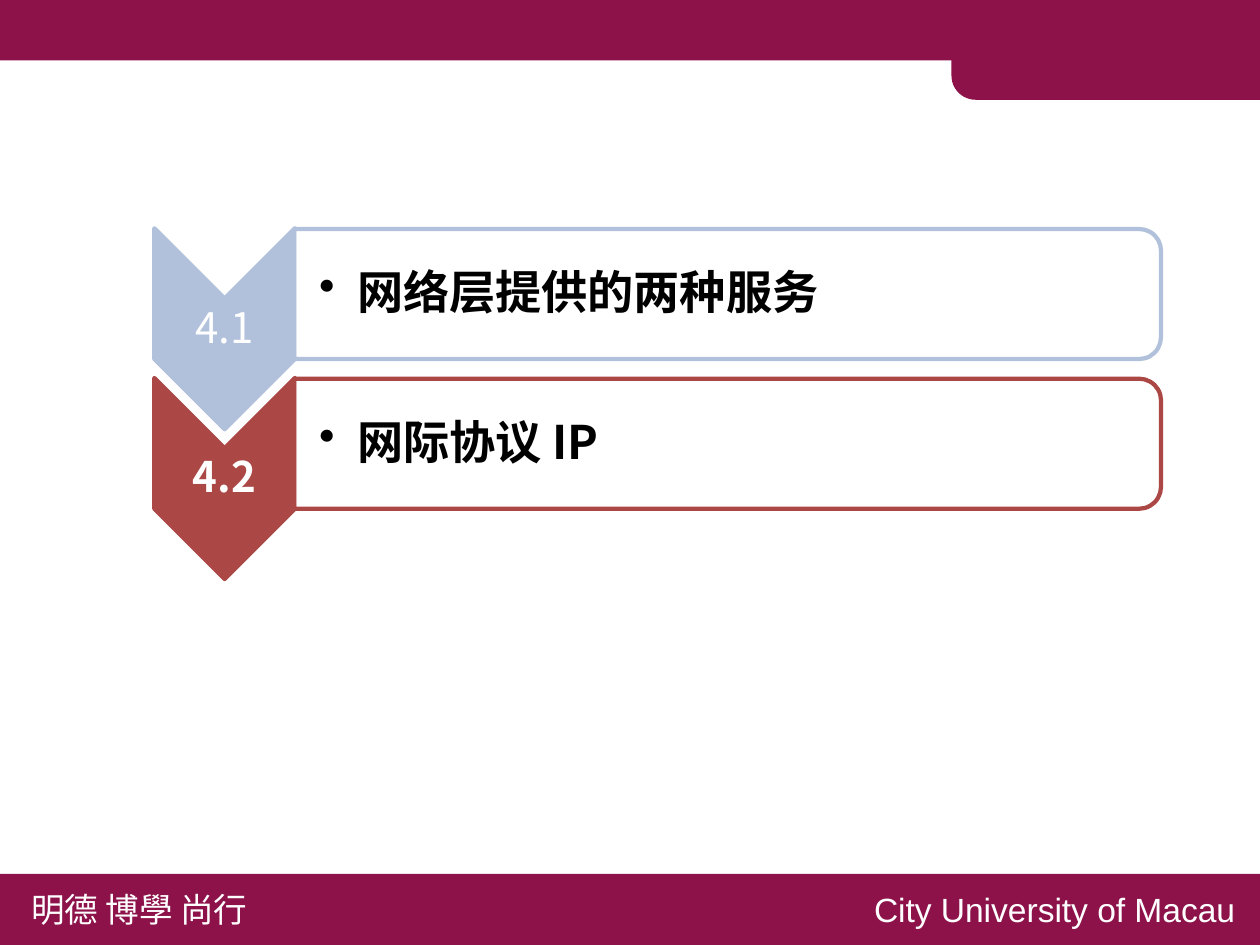
from pptx import Presentation, util as u
from pptx.dml.color import RGBColor
from pptx.enum import shapes, text
from pptx.oxml.ns import qn
from lxml import etree

ROWS = [("4.1", "网络层提供的两种服务", "pale", False),
        ("4.2", "网际协议 IP", "red", True)]
MOTTO = "明德 博學 尚行"
SCHOOL = "City University of Macau"
HUES = {"wine": "8D124A", "pale": "B2C1DB", "red": "AB4846",
        "white": "FFFFFF", "black": "000000"}
CJK = "Noto Sans CJK SC"
WIDE, HIGH = 8.33, 6.25
TOP, STEP = 1.51, 0.99
KIND = shapes.MSO_SHAPE

deck = Presentation()
deck.slide_width, deck.slide_height = u.Inches(WIDE), u.Inches(HIGH)
slide = deck.slides.add_slide(deck.slide_layouts[6])


def rgb(name):
    return RGBColor.from_string(HUES[name])


def add_form(kind, box, fill, line=None, turn=0, adj=(), alpha=None):
    form = slide.shapes.add_shape(kind, *map(u.Inches, box))
    form.shadow.inherit = False
    form.rotation = turn
    for i, val in enumerate(adj):
        form.adjustments[i] = val
    form.fill.solid()
    form.fill.fore_color.rgb = rgb(fill)
    props = form._element.spPr
    if alpha:
        tint = props.find(qn("a:solidFill"))[0]
        etree.SubElement(tint, qn("a:alpha")).set("val", str(alpha * 1000))
    if line:
        form.line.color.rgb = rgb(line)
        form.line.width = u.Pt(2)
        etree.SubElement(props.find(qn("a:ln")), qn("a:round"))
    else:
        form.line.fill.background()


def add_text(words, box, size, font=CJK, hue="white", bold=False, pad=(0.1, 0.05, 0.1, 0.05),
             mid=False, align=None, space=None, bullet=False, wrap=True):
    """Pad gives the left, top, right and bottom insets in inches."""
    frame = slide.shapes.add_textbox(*map(u.Inches, box)).text_frame
    frame.word_wrap = wrap
    (frame.margin_left, frame.margin_top,
     frame.margin_right, frame.margin_bottom) = map(u.Inches, pad)
    if mid:
        frame.vertical_anchor = text.MSO_ANCHOR.MIDDLE
    para = frame.paragraphs[0]
    para.alignment = align
    para.line_spacing = space
    if bullet:
        props = para._p.get_or_add_pPr()
        props.set("marL", str(u.Inches(0.25)))
        props.set("indent", str(u.Inches(-0.25)))
        etree.SubElement(props, qn("a:buChar")).set("char", "•")
    run = para.add_run()
    run.text = words
    face = run.font
    face.name, face.size, face.bold = font, u.Pt(size), bold
    face.color.rgb = rgb(hue)
    etree.SubElement(run._r.get_or_add_rPr(), qn("a:ea")).set("typeface", font)


def add_row(top, num, title, hue, bold):
    add_form(KIND.CHEVRON, (0.82, top + 0.2, 1.33, 0.93), hue, hue, 90, (0.5,))
    add_text(num, (1.02, top + 0.47, 0.93, 0.4), 20, bold=bold, pad=(0.01,) * 4,
             mid=True, align=text.PP_ALIGN.CENTER, space=0.9)
    add_form(KIND.ROUND_2_SAME_RECTANGLE, (4.38, top - 2.43, 0.86, 5.73),
             "white", hue, 90, (0.167, 0), 90)
    add_text(title, (1.94, top + 0.05, 5.68, 0.78), 22, hue="black", bold=True,
             pad=(0.17, 0.02, 0.02, 0.02), mid=True, space=0.9, bullet=True)


add_form(KIND.RECTANGLE, (0, 0, WIDE, 0.4), "wine")
add_form(KIND.ROUND_1_RECTANGLE, (6.29, 0.02, WIDE - 6.29, 0.64),
         "wine", turn=180, adj=(0.25,))
add_form(KIND.RECTANGLE, (0, 5.78, WIDE, HIGH - 5.78), "wine")
add_text(MOTTO, (0.11, 5.83, 1.68, 0.37), 16, wrap=False)
add_text(SCHOOL, (5.68, 5.83, 2.62, 0.37), 16, font="Arial", wrap=False)
for i, row in enumerate(ROWS):
    add_row(TOP + i * STEP, *row)

deck.save("out.pptx")
